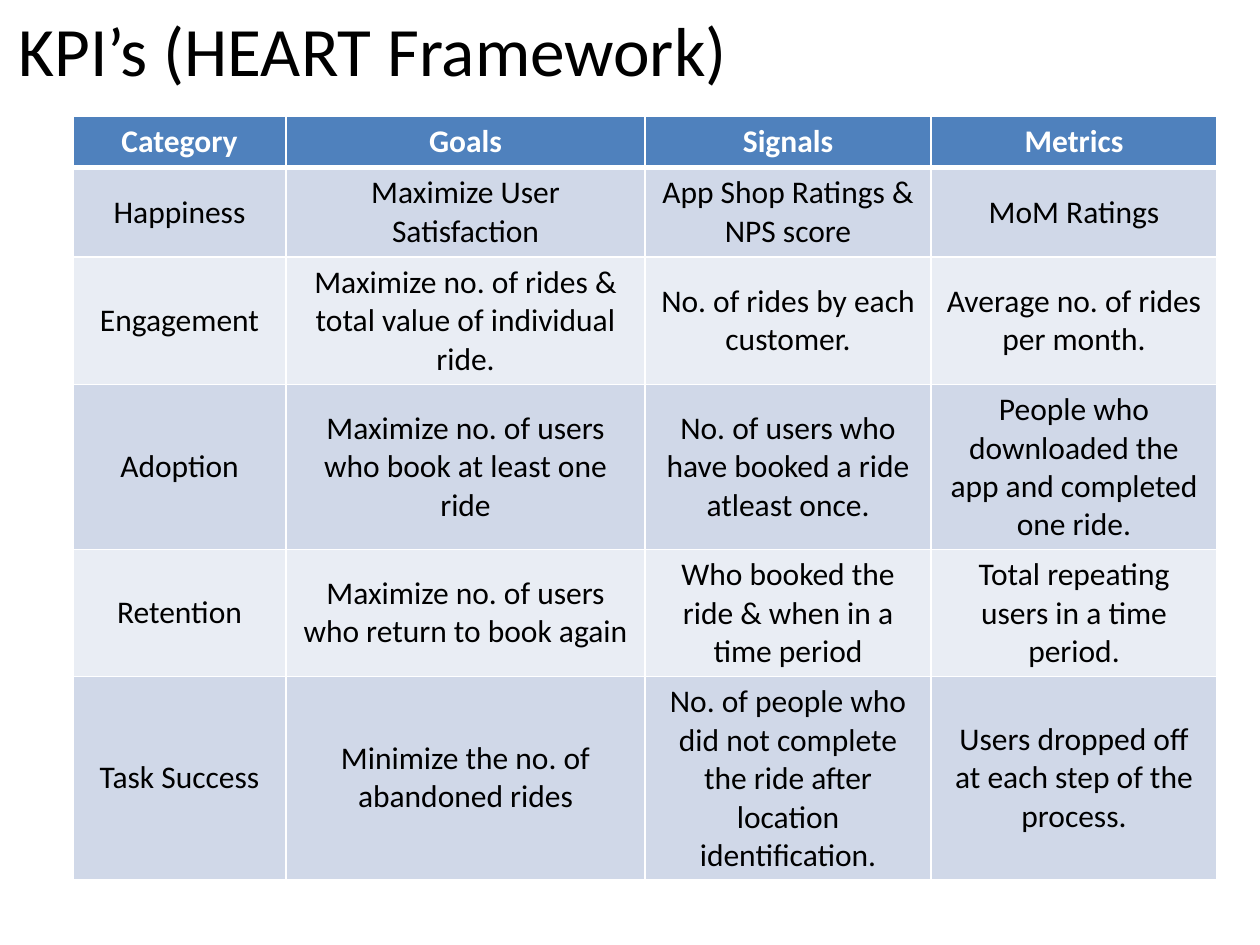
"""Build a slide with a table of KPIs in the HEART framework."""
import pptx
import pptx.dml.color
import pptx.enum.text
import pptx.oxml
import pptx.util
from pptx.util import Inches

RGBColor = pptx.dml.color.RGBColor
WHITE = RGBColor(0xFF, 0xFF, 0xFF)
BLACK = RGBColor(0x00, 0x00, 0x00)
HEADER_BLUE = RGBColor(0x4F, 0x81, 0xBD)
BAND_DARK = RGBColor(0xD0, 0xD8, 0xE8)
BAND_LIGHT = RGBColor(0xE9, 0xED, 0xF4)

TITLE = "KPI’s (HEART Framework)"
KPI_ROWS = [
    ("Category", "Goals", "Signals", "Metrics"),
    ("Happiness", "Maximize User Satisfaction",
     "App Shop Ratings & NPS score", "MoM Ratings"),
    ("Engagement", "Maximize no. of rides & total value of individual ride.",
     "No. of rides by each customer.", "Average no. of rides per month."),
    ("Adoption", "Maximize no. of users who book at least one ride",
     "No. of users who have booked a ride atleast once.",
     "People who downloaded the app and completed one ride."),
    ("Retention", "Maximize no. of users who return to book again",
     "Who booked the ride & when in a time period",
     "Total repeating users in a time period."),
    ("Task Success", "Minimize the no. of abandoned rides",
     "No. of people who did not complete the ride after location identification.",
     "Users dropped off at each step of the process."),
]
COLUMN_WIDTHS = (1.69, 2.85, 2.27, 2.27)
LINES_PER_ROW = (1, 2, 3, 4, 3, 5)
LINE_HEIGHT = 0.3
CELL_PADDING = 0.11
HEADER_RULE_XML = (
    '<a:lnB xmlns:a="http://schemas.openxmlformats.org/drawingml/2006/main" w="{width}">'
    '<a:solidFill><a:srgbClr val="{color}"/></a:solidFill></a:lnB>')


def write_text(text_frame, text, size, color, bold=False):
    text_frame.text = text
    text_frame.word_wrap = True
    paragraph = text_frame.paragraphs[0]
    paragraph.alignment = pptx.enum.text.PP_ALIGN.CENTER
    paragraph.font.name = "Calibri"
    paragraph.font.size = pptx.util.Pt(size)
    paragraph.font.color.rgb = color
    paragraph.font.bold = bold


def add_title(slide):
    title = slide.shapes.add_textbox(0, 0, Inches(5.92), Inches(0.78))
    write_text(title.text_frame, TITLE, 39.6, BLACK)
    title.text_frame.vertical_anchor = pptx.enum.text.MSO_ANCHOR.MIDDLE


def add_header_rule(cell):
    rule = HEADER_RULE_XML.format(width=int(pptx.util.Pt(3)), color=WHITE)
    cell._tc.get_or_add_tcPr().insert(0, pptx.oxml.parse_xml(rule))


def add_kpi_table(slide):
    heights = [CELL_PADDING + LINE_HEIGHT * lines for lines in LINES_PER_ROW]
    table = slide.shapes.add_table(
        len(KPI_ROWS), len(COLUMN_WIDTHS), Inches(0.58), Inches(0.92),
        Inches(sum(COLUMN_WIDTHS)), Inches(sum(heights))).table
    for column, width in zip(table.columns, COLUMN_WIDTHS):
        column.width = Inches(width)
    for index, (row, height, texts) in enumerate(zip(table.rows, heights, KPI_ROWS)):
        row.height = Inches(height)
        is_header = index == 0
        band = BAND_DARK if index % 2 else BAND_LIGHT
        for cell, text in zip(row.cells, texts):
            cell.fill.solid()
            cell.fill.fore_color.rgb = HEADER_BLUE if is_header else band
            write_text(cell.text_frame, text, 18, WHITE if is_header else BLACK, is_header)
            if is_header:
                add_header_rule(cell)
            else:
                cell.vertical_anchor = pptx.enum.text.MSO_ANCHOR.MIDDLE


def main():
    presentation = pptx.Presentation()
    presentation.slide_width = Inches(10)
    presentation.slide_height = Inches(7.5)
    slide = presentation.slides.add_slide(presentation.slide_layouts[6])
    add_title(slide)
    add_kpi_table(slide)
    presentation.save("out.pptx")


if __name__ == "__main__":
    main()
